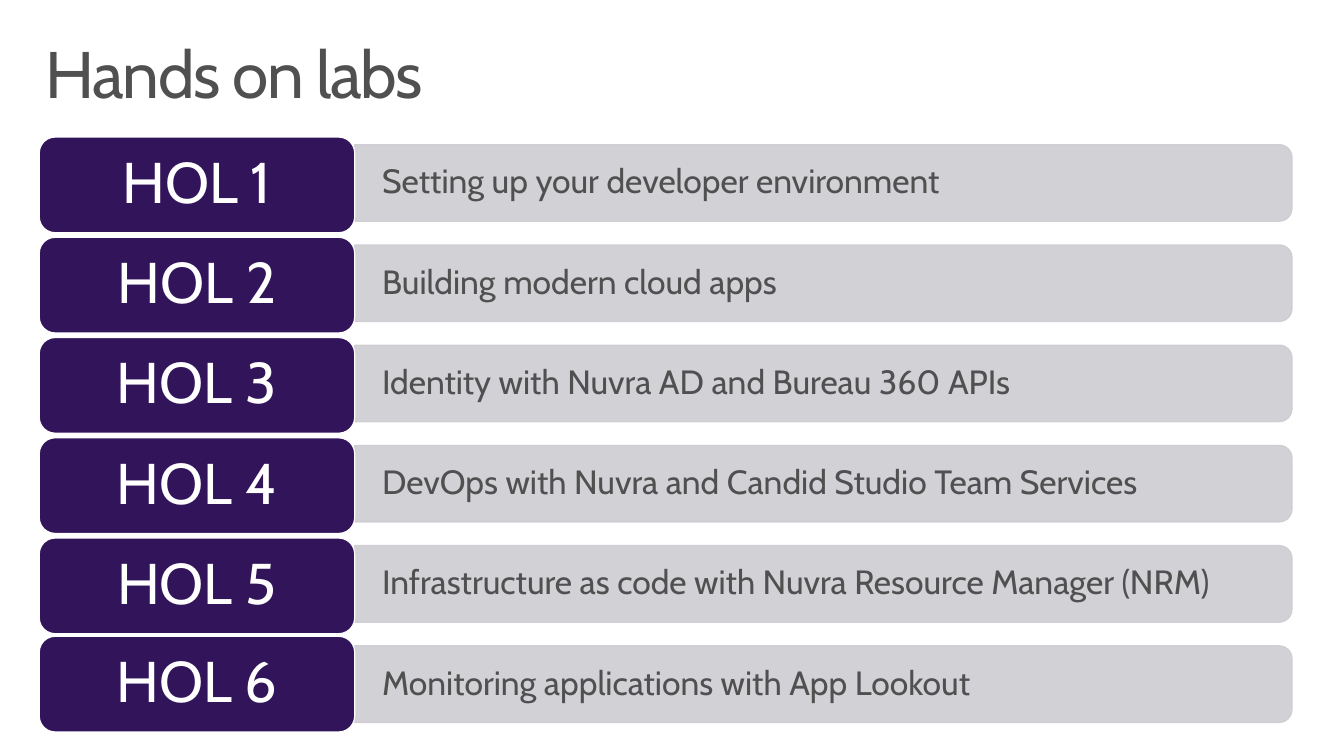
from dataclasses import dataclass

from lxml import etree
from pptx import Presentation
from pptx.dml.color import RGBColor
from pptx.enum import shapes, text
from pptx.oxml import ns
from pptx.util import Cm, Pt

GREY_TEXT = RGBColor(0x50, 0x50, 0x50)
BAR_GREY = RGBColor(0xCE, 0xCC, 0xD2)
PURPLE = RGBColor(0x32, 0x14, 0x5A)
WHITE = RGBColor(0xFF, 0xFF, 0xFF)
FONT_NAME = "Cabin"
LINE_WIDTH = Pt(0.85)

# Row geometry in centimetres
FIRST_CENTRE = 4.61
ROW_PITCH = 2.526
BADGE_LEFT, BADGE_WIDTH, BADGE_HEIGHT = 0.99, 7.95, 2.41
BADGE_DROP = 0.05
BAR_LEFT, BAR_LENGTH, BAR_THICKNESS = 8.94, 23.62, 1.93
TOPIC_WIDTH, TOPIC_HEIGHT = 23.52, 1.73


@dataclass
class Lab:
    name: str
    topic: str
    badge_lift: float = 0


LABS = [
    Lab("HOL 1", "Setting up your developer environment"),
    Lab("HOL 2", "Building modern cloud apps"),
    Lab("HOL 3", "Identity with Nuvra AD and Bureau 360 APIs"),
    Lab("HOL 4", "DevOps with Nuvra and Candid Studio Team Services"),
    Lab("HOL 5", "Infrastructure as code with Nuvra Resource Manager (NRM)"),
    Lab("HOL 6", "Monitoring applications with App Lookout", badge_lift=0.05),
]


def write(box, wording: str, size: float, colour: RGBColor, inset_x: float,
          inset_y: float, anchor=text.MSO_ANCHOR.MIDDLE,
          align=text.PP_ALIGN.LEFT):
    """Put one styled line into a box and return its paragraph."""
    frame = box.text_frame
    frame.word_wrap = True
    frame.vertical_anchor = anchor
    frame.margin_left = frame.margin_right = Cm(inset_x)
    frame.margin_top = frame.margin_bottom = Cm(inset_y)
    para = frame.paragraphs[0]
    para.text = wording
    para.alignment = align
    para.line_spacing = 0.9
    para.font.name = FONT_NAME
    para.font.size = Pt(size)
    para.font.color.rgb = colour
    return para


def paint(shape, fill: RGBColor, line: RGBColor) -> None:
    shape.shadow.inherit = False
    shape.fill.solid()
    shape.fill.fore_color.rgb = fill
    shape.line.color.rgb = line
    shape.line.width = LINE_WIDTH


def set_opacity(shape, percent: int) -> None:
    """Apply one opacity to the fill and the outline."""
    for colour in shape._element.spPr.iter(ns.qn("a:srgbClr")):
        alpha = etree.SubElement(colour, ns.qn("a:alpha"))
        alpha.set("val", str(percent * 1000))


def draw_title(page, wording: str) -> None:
    box = page.shapes.add_textbox(Cm(0.74), Cm(0.81), Cm(32.39), Cm(2.49))
    para = write(box, wording, 47, GREY_TEXT, 0.41, 0.25,
                 anchor=text.MSO_ANCHOR.TOP)
    para.runs[0]._r.get_or_add_rPr().set("spc", "-100")


def draw_lab(page, lab: Lab, centre: float) -> None:
    # Bar: an upright shape turned so its rounded end faces right
    bar = page.shapes.add_shape(
        shapes.MSO_SHAPE.ROUND_2_SAME_RECTANGLE,
        Cm(BAR_LEFT + (BAR_LENGTH - BAR_THICKNESS) / 2),
        Cm(centre - BAR_LENGTH / 2), Cm(BAR_THICKNESS), Cm(BAR_LENGTH))
    bar.rotation = 90
    paint(bar, BAR_GREY, BAR_GREY)
    set_opacity(bar, 90)

    # Topic over the bar
    topic = page.shapes.add_textbox(
        Cm(BAR_LEFT), Cm(centre - TOPIC_HEIGHT / 2),
        Cm(TOPIC_WIDTH), Cm(TOPIC_HEIGHT))
    write(topic, lab.topic, 24, GREY_TEXT, 0.69, 0.36)

    # Badge with the lab name
    badge_centre = centre + BADGE_DROP - lab.badge_lift
    badge = page.shapes.add_shape(
        shapes.MSO_SHAPE.ROUNDED_RECTANGLE,
        Cm(BADGE_LEFT), Cm(badge_centre - BADGE_HEIGHT / 2),
        Cm(BADGE_WIDTH), Cm(BADGE_HEIGHT))
    paint(badge, PURPLE, WHITE)
    write(badge, lab.name, 41, WHITE, 0.43, 0.23,
          align=text.PP_ALIGN.CENTER)


def main() -> None:
    deck = Presentation()
    deck.slide_width, deck.slide_height = Cm(33.87), Cm(19.05)
    page = deck.slides.add_slide(deck.slide_layouts[6])
    draw_title(page, "Hands on labs")
    for row, lab in enumerate(LABS):
        draw_lab(page, lab, FIRST_CENTRE + row * ROW_PITCH)
    deck.save("out.pptx")


if __name__ == "__main__":
    main()
